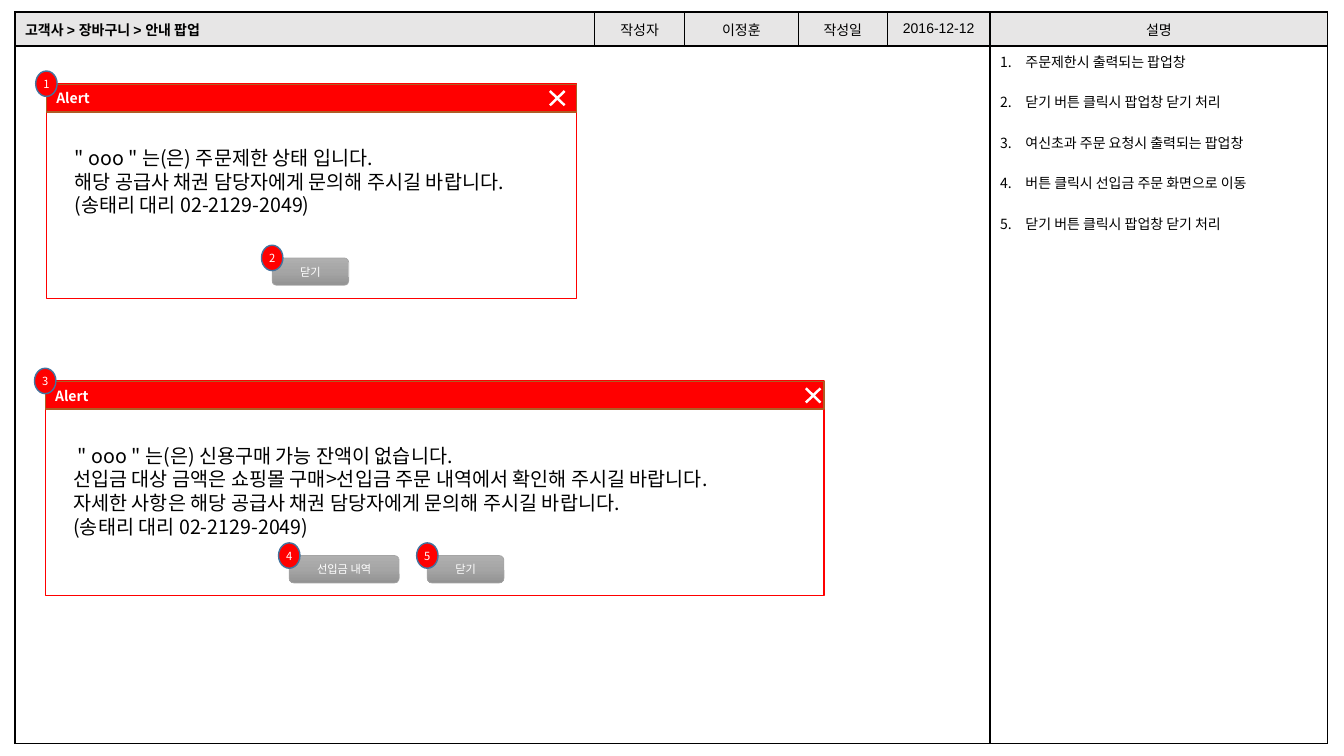
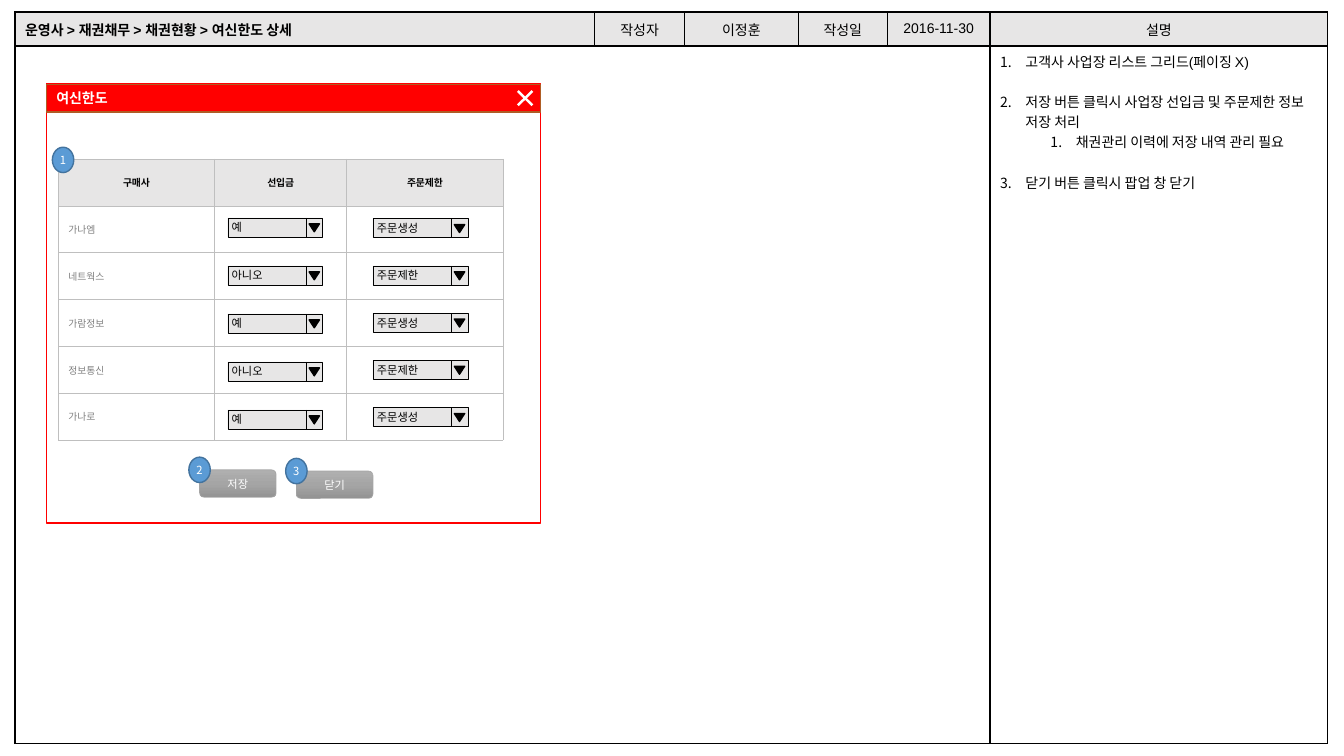
from copy import deepcopy
from dataclasses import dataclass

from lxml.etree import SubElement
from pptx import Presentation
from pptx.dml.color import RGBColor
from pptx.enum.shapes import MSO_CONNECTOR, MSO_SHAPE as SHAPE
from pptx.enum.text import MSO_ANCHOR as ANCHOR, PP_ALIGN as ALIGN
from pptx.oxml.ns import qn
from pptx.util import Cm, Pt


@dataclass(frozen=True)
class Theme:
    black: str = "000000"
    white: str = "FFFFFF"
    red: str = "FF0000"
    blue: str = "5B9BD5"
    badge_line: str = "43739E"
    bar_line: str = "AF5C24"
    header: str = "E7E6E6"
    muted: str = "808080"
    grid: str = "BFBFBF"
    button_line: str = "A5A5A5"
    button: tuple = ("AFAFAF", "A5A5A5", "939393")
    latin: str = "Arial"
    korean: str = "Noto Sans CJK KR"
    message: float = 14
    body: float = 10
    label: float = 8
    cell: float = 7


T = Theme()


def write(tf, text, size=T.body, color=T.black, font=T.korean, bold=False,
          align=ALIGN.LEFT, line=None):
    """Fill a text frame, one paragraph for each line of text."""
    for i, words in enumerate(text.split("\n")):
        p = tf.add_paragraph() if i else tf.paragraphs[0]
        p.alignment = align
        if line:
            p.line_spacing = Pt(line)
        r = p.add_run()
        r.text = words
        r.font.size, r.font.bold, r.font.name = Pt(size), bold, font
        r.font.color.rgb = RGBColor.from_string(color)
        SubElement(r.font._element, qn("a:ea")).set("typeface", T.korean)


def add_box(shapes, preset, x, y, w, h, fill, line=None, width=1):
    """Add a flat preset shape, measured in centimetres."""
    sp = shapes.add_shape(preset, Cm(x), Cm(y), Cm(w), Cm(h))
    sp.shadow.inherit = False
    sp.fill.solid()
    sp.fill.fore_color.rgb = RGBColor.from_string(fill)
    if line:
        sp.line.color.rgb = RGBColor.from_string(line)
        sp.line.width = Pt(width)
    else:
        sp.line.fill.background()
    sp.text_frame.word_wrap = True
    sp.text_frame.vertical_anchor = ANCHOR.MIDDLE
    return sp


CONTACT = "해당 공급사 채권 담당자에게 문의해 주시길 바랍니다.\n(송태리 대리 02-2129-2049)"

# popups: title, x, y, width, height, close x, message top, message height, message
# buttons: label, x, y, width
# badges: number, centre x, centre y
pages = [
    dict(
        title="고객사 > 장바구니 > 안내 팝업", date="2016-12-12", badge_fill=T.red,
        notes=[(0, "주문제한시 출력되는 팝업창"),
               (0, "닫기 버튼 클릭시 팝업창 닫기 처리"),
               (0, "여신초과 주문 요청시 출력되는 팝업창"),
               (0, "버튼 클릭시 선입금 주문 화면으로 이동"),
               (0, "닫기 버튼 클릭시 팝업창 닫기 처리")],
        popups=[
            ("Alert", 1.17, 2.11, 13.36, 5.41, 13.69, 3.23, 2.69,
             '" ooo " 는(은) 주문제한 상태 입니다.\n' + CONTACT),
            ("Alert", 1.14, 9.6, 19.63, 5.41, 20.14, 10.72, 3.3,
             ' " ooo " 는(은) 신용구매 가능 잔액이 없습니다.\n'
             "선입금 대상 금액은 쇼핑몰 구매>선입금 주문 내역에서 확인해 주시길 바랍니다.\n"
             "자세한 사항은 " + CONTACT)],
        buttons=[("닫기", 6.86, 6.5, 1.93), ("선입금 내역", 7.29, 14, 2.77),
                 ("닫기", 10.77, 14, 1.93)],
        badges=[(1, 1.17, 2.11), (3, 1.14, 9.6), (2, 6.86, 6.5),
                (4, 7.29, 14), (5, 10.77, 14)]),
    dict(
        title="운영사 > 재권채무 > 채권현황 > 여신한도 상세", date="2016-11-30",
        badge_fill=T.blue,
        notes=[(0, "고객사 사업장 리스트 그리드(페이징 X)"),
               (0, "저장 버튼 클릭시 사업장 선입금 및 주문제한 정보 저장 처리"),
               (1, "채권관리 이력에 저장 내역 관리 필요"),
               (0, "닫기 버튼 클릭시 팝업 창 닫기")],
        popups=[("여신한도", 1.17, 2.11, 12.45, 11.07, 12.88, 0, 0, "")],
        buttons=[("저장", 5.03, 11.84, 1.93), ("닫기", 7.47, 11.87, 1.93)],
        badges=[(1, 1.59, 4.03), (2, 5.03, 11.84), (3, 7.47, 11.87)]),
]

prs = Presentation()
prs.slide_width, prs.slide_height = Cm(33.87), Cm(19.05)
tables = []

for page in pages:
    s = prs.slides.add_slide(prs.slide_layouts[6])

    # Page frame
    widths, heights = (14.61, 2.26, 2.87, 2.24, 2.59, 8.51), (0.86, 17.58)
    frame = s.shapes.add_table(2, 6, Cm(0.38), Cm(0.3), Cm(sum(widths)),
                               Cm(sum(heights))).table
    tables.append((frame, widths, heights, T.black, 1))
    heads = (page["title"], "작성자", "이정훈", "작성일", page["date"], "설명")
    for i, head in enumerate(heads):
        write(frame.cell(0, i).text_frame, head, font=T.latin, bold=i == 0,
              align=ALIGN.CENTER if i else ALIGN.LEFT)
    frame.cell(1, 0).merge(frame.cell(1, 4))

    # Numbered description
    tf = frame.cell(1, 5).text_frame
    write(tf, "\n".join(text for level, text in page["notes"]), font=T.latin)
    for i, (p, (level, text)) in enumerate(zip(tf.paragraphs, page["notes"])):
        p.level = level
        if i and level == 0:
            p.space_before = Pt(14.5)
        pPr = p._p.get_or_add_pPr()
        pPr.set("marL", str(Cm(0.64 + 1.27 * level)))
        pPr.set("indent", str(-Cm(0.64)))
        SubElement(pPr, qn("a:buFont")).set("typeface", T.korean)
        SubElement(pPr, qn("a:buAutoNum")).set("type", "arabicPeriod")

    # Popup windows
    for title, x, y, w, h, close_x, text_y, text_h, message in page["popups"]:
        add_box(s.shapes, SHAPE.RECTANGLE, x, y, w, h, T.white, T.red)
        bar = add_box(s.shapes, SHAPE.RECTANGLE, x, y + 0.02, w, 0.69, T.red, T.bar_line)
        write(bar.text_frame, title, color=T.white, bold=True)
        close = add_box(s.shapes, SHAPE.MATH_MULTIPLY, close_x, y + 0.02, 0.71, 0.69,
                        T.white)
        close.adjustments[0] = 0.09
        if message:
            sp = add_box(s.shapes, SHAPE.RECTANGLE, x + 0.46, text_y, w - 0.95, text_h,
                         T.white, T.white)
            write(sp.text_frame, message, size=T.message, line=16.8)

    # Buttons
    for label, x, y, w in page["buttons"]:
        sp = add_box(s.shapes, SHAPE.ROUNDED_RECTANGLE, x, y, w, 0.69, T.button[1],
                     T.button_line, 0.5)
        sp.fill.gradient()
        sp.fill.gradient_angle = 270
        stops = sp._element.spPr.find(qn("a:gradFill")).find(qn("a:gsLst"))
        stops.append(deepcopy(stops[-1]))
        for i, (stop, color) in enumerate(zip(sp.fill.gradient_stops, T.button)):
            stop.color.rgb = RGBColor.from_string(color)
            stop.position = i / 2
        write(sp.text_frame, label, size=T.label, color=T.white, align=ALIGN.CENTER)

# Credit limit table on the last page
widths, heights = (3.94, 3.33, 3.94), (1.18,) * 6
limits = s.shapes.add_table(6, 3, Cm(1.47), Cm(4.01), Cm(sum(widths)),
                            Cm(sum(heights))).table
tables.append((limits, widths, heights, T.grid, 0.5))
for i, head in enumerate(("구매사", "선입금", "주문제한")):
    write(limits.cell(0, i).text_frame, head, size=T.cell, bold=True, align=ALIGN.CENTER)
for i, buyer in enumerate(("가나엠", "네트웍스", "가람정보", "정보통신", "가나로"), 1):
    write(limits.cell(i, 0).text_frame, buyer, size=T.cell, color=T.muted)

# Drop-down lists: x, first y, pitch, alternating choices
for x, top, pitch, choices in ((5.74, 5.49, 1.21, ("예", "아니오")),
                               (9.4, 5.51, 1.19, ("주문생성", "주문제한"))):
    for i in range(5):
        y = top + i * pitch
        shapes = s.shapes.add_group_shape().shapes
        field = add_box(shapes, SHAPE.RECTANGLE, x, y, 2.39, 0.48, T.header, T.black, 0.25)
        tf = field.text_frame
        tf.word_wrap = False
        tf.margin_left = Cm(0.1)
        write(tf, choices[i % 2], size=T.label, font=T.latin)
        divider = shapes.add_connector(MSO_CONNECTOR.STRAIGHT, Cm(x + 1.98), Cm(y),
                                       Cm(x + 1.98), Cm(y + 0.48))
        divider.line.color.rgb = RGBColor.from_string(T.black)
        divider.line.width = Pt(0.25)
        SubElement(divider._element.spPr, qn("a:effectLst"))
        arrow = add_box(shapes, SHAPE.ISOSCELES_TRIANGLE, x + 2.05, y + 0.15, 0.26, 0.2,
                        T.black, T.black)
        arrow.rotation = 180

# Numbered badges
for s, page in zip(prs.slides, pages):
    for number, x, y in page["badges"]:
        sp = add_box(s.shapes, SHAPE.OVAL, x - 0.27, y - 0.32, 0.54, 0.64,
                     page["badge_fill"], T.badge_line)
        tf = sp.text_frame
        tf.margin_left = tf.margin_right = tf.margin_top = tf.margin_bottom = 0
        write(tf, str(number), size=T.label, color=T.white, align=ALIGN.CENTER)

# Table sizes, fills and borders
for table, widths, heights, color, width in tables:
    table.first_row = table.horz_banding = False
    for column, size in zip(table.columns, widths):
        column.width = Cm(size)
    for i, (row, size) in enumerate(zip(table.rows, heights)):
        row.height = Cm(size)
        for cell in row.cells:
            cell.fill.solid()
            cell.fill.fore_color.rgb = RGBColor.from_string(T.white if i else T.header)
            if i == 0 or table is limits:
                cell.vertical_anchor = ANCHOR.MIDDLE
            tcPr = cell._tc.get_or_add_tcPr()
            for k, side in enumerate(("a:lnL", "a:lnR", "a:lnT", "a:lnB")):
                ln = SubElement(tcPr, qn(side))
                ln.set("w", str(Pt(width)))
                fill = SubElement(ln, qn("a:solidFill"))
                SubElement(fill, qn("a:srgbClr")).set("val", color)
                tcPr.insert(k, ln)

prs.save("out.pptx")
